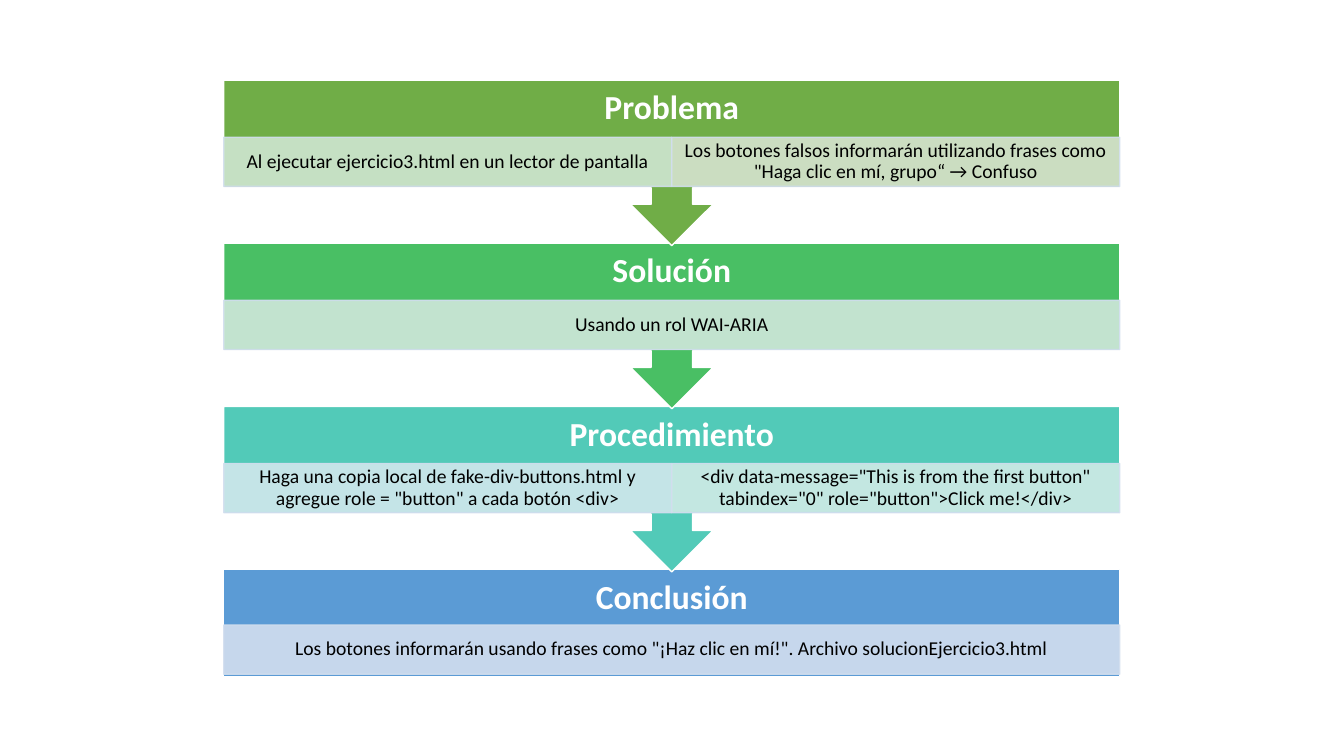
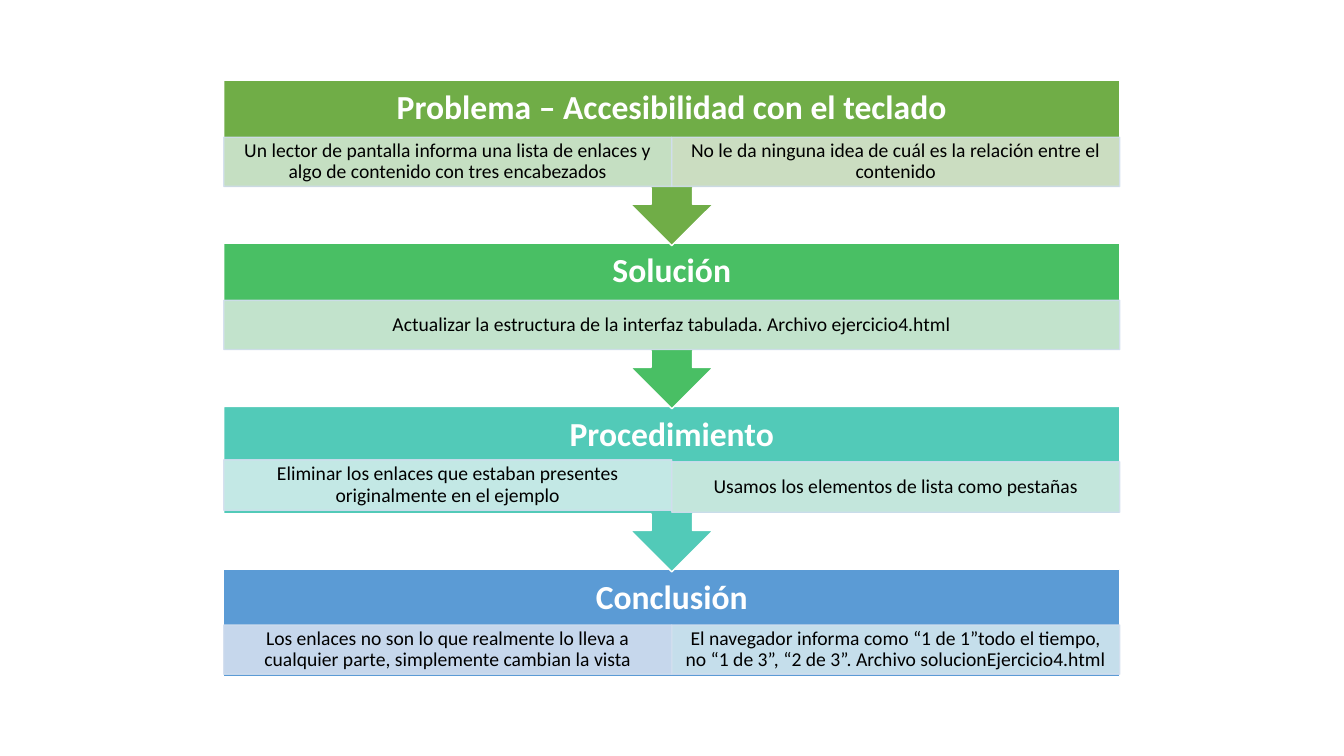
from dataclasses import dataclass

from lxml.etree import SubElement
from pptx import Presentation
from pptx.dml.color import RGBColor
from pptx.enum.shapes import MSO_SHAPE as Shape
from pptx.enum.text import MSO_ANCHOR as Anchor, PP_ALIGN as Align
from pptx.oxml.ns import qn
from pptx.util import Cm, Pt

WHITE = RGBColor(0xFF, 0xFF, 0xFF)
BLACK = RGBColor(0x00, 0x00, 0x00)
GREEN = RGBColor(0x70, 0xAD, 0x47)
EMERALD = RGBColor(0x49, 0xBF, 0x64)
TURQUOISE = RGBColor(0x52, 0xCA, 0xB8)
BLUE = RGBColor(0x5B, 0x9B, 0xD5)
PALE_BLUE = RGBColor(0xD2, 0xDE, 0xEF)
PALE_SKY = RGBColor(0xD1, 0xE6, 0xEE)
PALE_CYAN = RGBColor(0xD1, 0xE7, 0xED)
PALE_AQUA = RGBColor(0xD0, 0xEC, 0xEA)
PALE_TEAL = RGBColor(0xD0, 0xEB, 0xE6)
PALE_JADE = RGBColor(0xD0, 0xEA, 0xE1)
PALE_MINT = RGBColor(0xD0, 0xE8, 0xDB)
PALE_EMERALD = RGBColor(0xD0, 0xE7, 0xD8)
PALE_LEAF = RGBColor(0xCF, 0xE6, 0xD1)
PALE_FERN = RGBColor(0xCF, 0xE5, 0xD0)
PALE_OLIVE = RGBColor(0xD5, 0xE3, 0xCF)

FONT = "Calibri"
STAGE_COLORS = (GREEN, EMERALD, TURQUOISE, BLUE)
FLOW_LEFT, FLOW_TOP, FLOW_WIDTH = Cm(5.64), Cm(2.02), Cm(22.58)
STAGE_PITCH = Cm(4.11)
CALLOUT_HEIGHT, LAST_HEIGHT = Cm(4.17), Cm(2.7)
HEADING_HEIGHT = Cm(1.45)


@dataclass
class Detail:
    text: str
    color: RGBColor
    offset: float = 1.44
    height: float = 1.24


@dataclass
class Stage:
    heading: str
    details: tuple


def write(box, text, size, color, bold, inset_x, inset_y):
    frame = box.text_frame
    frame.word_wrap = True
    frame.vertical_anchor = Anchor.MIDDLE
    frame.margin_left = frame.margin_right = inset_x
    frame.margin_top = frame.margin_bottom = inset_y
    frame.text = text
    paragraph = frame.paragraphs[0]
    paragraph.alignment = Align.CENTER
    paragraph.line_spacing = 0.9
    font = paragraph.runs[0].font
    font.name, font.size, font.bold = FONT, Pt(size), bold
    font.color.rgb = color


def add_block(slide, preset, box, fill, line):
    block = slide.shapes.add_shape(preset, *box)
    block.shadow.inherit = False
    block.fill.solid()
    block.fill.fore_color.rgb = fill
    block.line.color.rgb = line
    block.line.width = Pt(1)
    return block


def add_detail(slide, detail, left, stage_top, width):
    box = (left, stage_top + Cm(detail.offset), width, Cm(detail.height))
    cell = add_block(slide, Shape.RECTANGLE, box, detail.color, PALE_BLUE)
    for color in cell._element.spPr.iter(qn("a:srgbClr")):
        SubElement(color, qn("a:alpha")).set("val", "90000")
    write(cell, detail.text, 14, BLACK, False, Cm(0.28), Cm(0.05))


def add_stage(slide, stage, color, left, top, width, is_last):
    if is_last:
        add_block(slide, Shape.RECTANGLE, (left, top, width, LAST_HEIGHT), color, WHITE)
    else:
        box = (left, top, width, CALLOUT_HEIGHT)
        callout = add_block(slide, Shape.UP_ARROW_CALLOUT, box, color, WHITE)
        callout.rotation = 180
    heading = slide.shapes.add_textbox(left, top, width, HEADING_HEIGHT)
    write(heading, stage.heading, 24, WHITE, True, Cm(0.48), Cm(0.48))
    detail_width = width // len(stage.details)
    for column, detail in enumerate(stage.details):
        add_detail(slide, detail, left + column * detail_width, top, detail_width)


def add_flow_slide(deck, stages):
    slide = deck.slides.add_slide(deck.slide_layouts[6])
    last = len(stages) - 1
    for index in range(last, -1, -1):
        add_stage(slide, stages[index], STAGE_COLORS[index], FLOW_LEFT,
                  FLOW_TOP + index * STAGE_PITCH, FLOW_WIDTH, index == last)


BUTTON_ROLE = (
    Stage("Problema", (
        Detail("Al ejecutar ejercicio3.html en un lector de pantalla", PALE_LEAF),
        Detail('Los botones falsos informarán utilizando frases como '
               '"Haga clic en mí, grupo“ → Confuso', PALE_OLIVE))),
    Stage("Solución", (Detail("Usando un rol WAI-ARIA", PALE_MINT),)),
    Stage("Procedimiento", (
        Detail('Haga una copia local de fake-div-buttons.html y agregue '
               'role = "button" a cada botón <div>', PALE_CYAN),
        Detail('<div data-message="This is from the first button" '
               'tabindex="0" role="button">Click me!</div>', PALE_TEAL))),
    Stage("Conclusión", (
        Detail('Los botones informarán usando frases como "¡Haz clic en mí!". '
               'Archivo solucionEjercicio3.html', PALE_BLUE, 1.4),)),
)

TABBED_INTERFACE = (
    Stage("Problema – Accesibilidad con el teclado", (
        Detail("Un lector de pantalla informa una lista de enlaces y algo de "
               "contenido con tres encabezados", PALE_FERN),
        Detail("No le da ninguna idea de cuál es la relación entre el contenido",
               PALE_OLIVE))),
    Stage("Solución", (
        Detail("Actualizar la estructura de la interfaz tabulada. "
               "Archivo ejercicio4.html", PALE_EMERALD),)),
    Stage("Procedimiento", (
        Detail("Eliminar los enlaces que estaban presentes originalmente en el ejemplo",
               PALE_AQUA, 1.35, 1.27),
        Detail("Usamos los elementos de lista como pestañas", PALE_JADE, 1.4, 1.27))),
    Stage("Conclusión", (
        Detail("Los enlaces no son lo que realmente lo lleva a cualquier parte, "
               "simplemente cambian la vista", PALE_BLUE, 1.4),
        Detail("El navegador informa como “1 de 1”todo el tiempo, no “1 de 3”, "
               "“2 de 3”. Archivo solucionEjercicio4.html", PALE_SKY, 1.4))),
)


def main():
    deck = Presentation()
    deck.slide_width, deck.slide_height = Cm(33.87), Cm(19.05)
    for stages in (BUTTON_ROLE, TABBED_INTERFACE):
        add_flow_slide(deck, stages)
    deck.save("out.pptx")


if __name__ == "__main__":
    main()
